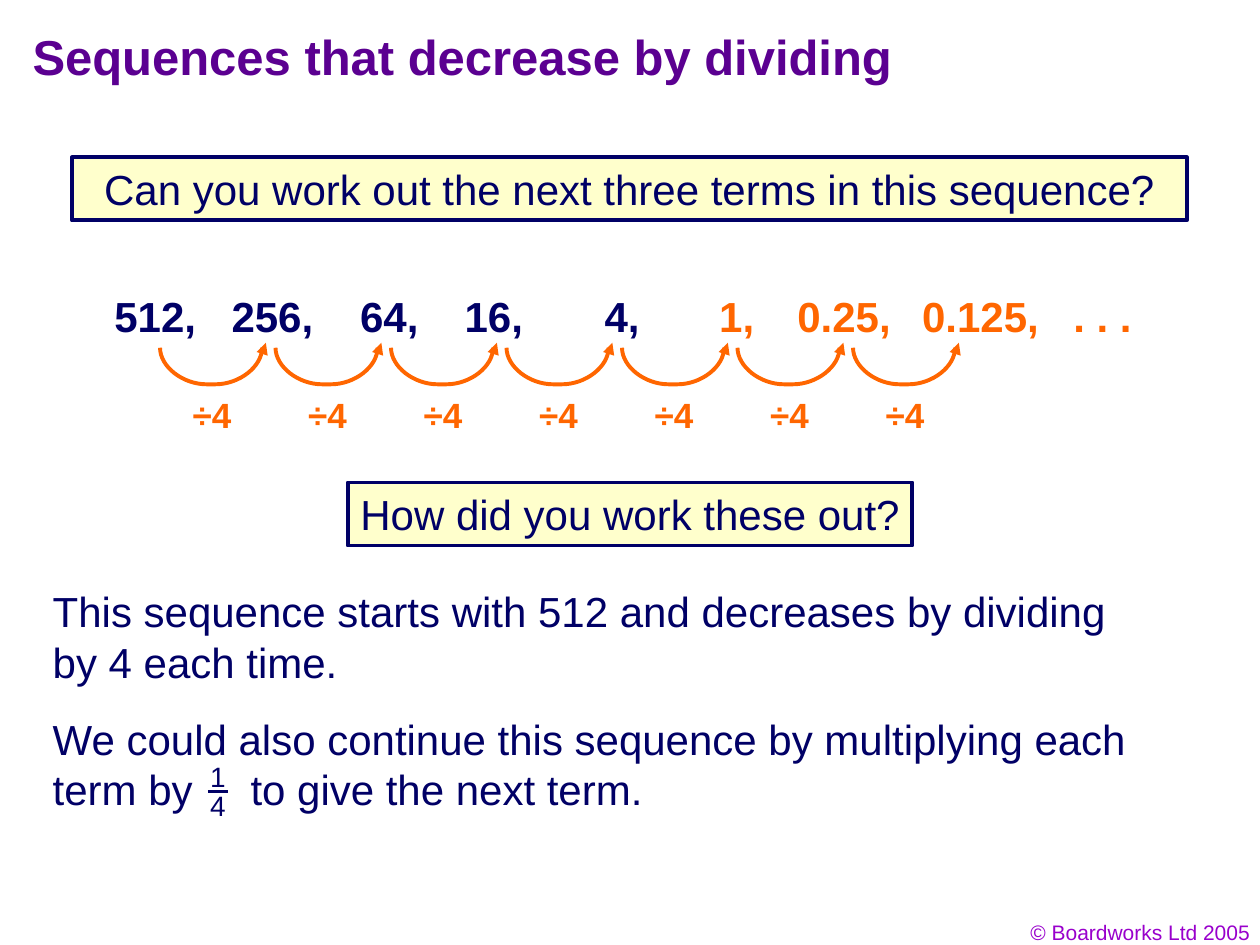
import pptx
import pptx.util
import pptx.dml.color
import pptx.enum.shapes
import pptx.enum.text
import pptx.oxml.ns
from lxml import etree

Inches = pptx.util.Inches
Align = pptx.enum.text.PP_ALIGN
HEX = {"ink": "000066", "sum": "010066", "hot": "FF6600", "head": "5B0091",
       "note": "9900CC", "pale": "FFFFCC"}


def color(name):
    """Return a named colour."""
    return pptx.dml.color.RGBColor.from_string(HEX[name])


def node(parent, tag, **attrs):
    """Append a drawing element to its parent."""
    return etree.SubElement(parent, pptx.oxml.ns.qn(tag), attrs)


def write(shape, text, size, tint, bold=False, align=Align.LEFT, wrap=True, stops=()):
    """Fill a shape with one run, with optional tab stops."""
    frame = shape.text_frame
    frame.word_wrap = wrap
    frame.vertical_anchor = pptx.enum.text.MSO_ANCHOR.TOP
    para = frame.paragraphs[0]
    para.alignment = align
    if stops:
        tabs = node(para._p.get_or_add_pPr(), "a:tabLst")
        for stop in stops:
            node(tabs, "a:tab", pos=str(Inches(stop)), algn="l")
    run = para.add_run()
    run.text = text
    run.font.name = "Arial"
    run.font.size = pptx.util.Pt(size)
    run.font.bold = bold
    run.font.color.rgb = color(tint)


def label(slide, box, text, size, tint, **style):
    """Add a plain text box."""
    shape = slide.shapes.add_textbox(*map(Inches, box))
    write(shape, text, size, tint, **style)


def panel(slide, box, text, wrap=True):
    """Add a framed question."""
    kind = pptx.enum.shapes.MSO_SHAPE.RECTANGLE
    shape = slide.shapes.add_shape(kind, *map(Inches, box))
    shape.shadow.inherit = False
    shape.fill.solid()
    shape.fill.fore_color.rgb = color("pale")
    shape.line.color.rgb = color("ink")
    shape.line.width = pptx.util.Pt(2.25)
    write(shape, text, 24, "ink", align=Align.CENTER, wrap=wrap)


def rule(slide, start, end, tint, width, arrow=False):
    """Draw a straight line, with an arrowhead if asked."""
    kind = pptx.enum.shapes.MSO_CONNECTOR.STRAIGHT
    line = slide.shapes.add_connector(kind, *map(Inches, start + end))
    line.line.color.rgb = color(tint)
    line.line.width = pptx.util.Pt(width)
    if arrow:
        node(line._element.spPr.get_or_add_ln(), "a:tailEnd", type="triangle")
    node(line._element.spPr, "a:effectLst")


def bend(edge, *pulls):
    """Turn a straight edge of an outline into a cubic curve."""
    curve = node(edge.getparent(), "a:cubicBezTo")
    edge.addprevious(curve)
    for x, y in pulls:
        node(curve, "a:pt", x=str(Inches(x)), y=str(Inches(y)))
    curve.append(edge[0])
    edge.getparent().remove(edge)


def hop(slide, box):
    """Draw one curved arrow with its divisor."""
    left, top, width, depth = box
    right, low = left + width, top + depth
    flat = 0.37
    build = slide.shapes.build_freeform(Inches(left), Inches(top))
    spots = ((left + flat, low), (right - flat, low), (right, top))
    build.add_line_segments([tuple(map(Inches, spot)) for spot in spots], close=False)
    shape = build.convert_to_shape()
    down, _, up = list(shape._element.iter(pptx.oxml.ns.qn("a:lnTo")))
    bend(down, (0, 0.15), (0.18, depth))
    bend(up, (width - 0.18, depth), (width, 0.15))
    shape.shadow.inherit = False
    shape.fill.background()
    shape.line.color.rgb = color("hot")
    shape.line.width = pptx.util.Pt(2.25)
    rule(slide, (right + 0.01, top + 0.02), (right + 0.03, top - 0.04), "hot", 2.25, True)
    label(slide, (left + 0.16, low + 0.02, 0.51, 0.44), "÷4", 20, "hot", bold=True, wrap=False)


def chain(slide, box):
    """Lay out the terms and the hops between them."""
    left, top, width, height = box
    label(slide, (left, top, 4.46, height), "512,\t256,\t64,\t16,\t4,", 24, "ink",
          bold=True, stops=(0.93, 1.95, 2.78, 3.89))
    for shift, span, text in ((4.8, 0.48, "1,"), (5.42, 0.94, "0.25,")):
        label(slide, (left + shift, top, span, height), text, 24, "hot", bold=True, wrap=False)
    label(slide, (left + 6.41, top, width - 6.41, height), "0.125,\t. . .", 24, "hot",
          bold=True, stops=(1.2,))
    count, reach = 7, 5.5
    for index in range(count):
        shift = 0.46 + index * reach / (count - 1)
        hop(slide, (left + shift, top + height, 0.81, 0.29))


def answer(slide, box):
    """Place the closing remark and its fraction."""
    left, top, width, height = box
    label(slide, box, "We could also continue this sequence by multiplying each "
          "term by\tto give the next term.", 24, "sum", stops=(1.57,))
    for shift, digit in ((0.37, "1"), (0.6, "4")):
        label(slide, (left + 1.25, top + shift, 0.32, 0.37), digit, 16, "sum", wrap=False)
    bar = top + 0.67
    rule(slide, (left + 1.33, bar), (left + 1.49, bar), "ink", 1.5)


def main():
    """Build and save the slide."""
    deck = pptx.Presentation()
    deck.slide_width, deck.slide_height = Inches(10), Inches(7.5)
    slide = deck.slides.add_slide(deck.slide_layouts[6])
    label(slide, (7.69, 7.25, 2.33, 0.3), "© Boardworks Ltd 2005", 12, "note", align=Align.RIGHT)
    panel(slide, (0.57, 1.25, 8.85, 0.5),
          "Can you work out the next three terms in this sequence?")
    panel(slide, (2.76, 3.83, 4.48, 0.5), "How did you work these out?", wrap=False)
    label(slide, (0.32, 4.6, 8.85, 0.9),
          "This sequence starts with 512 and decreases by dividing by 4 each time.", 24, "ink")
    label(slide, (0.16, 0.16, 8.59, 0.69), "Sequences that decrease by dividing", 28, "head",
          bold=True)
    chain(slide, (0.81, 2.26, 8.28, 0.5))
    answer(slide, (0.32, 5.61, 9.43, 0.9))
    deck.save("out.pptx")


if __name__ == "__main__":
    main()
